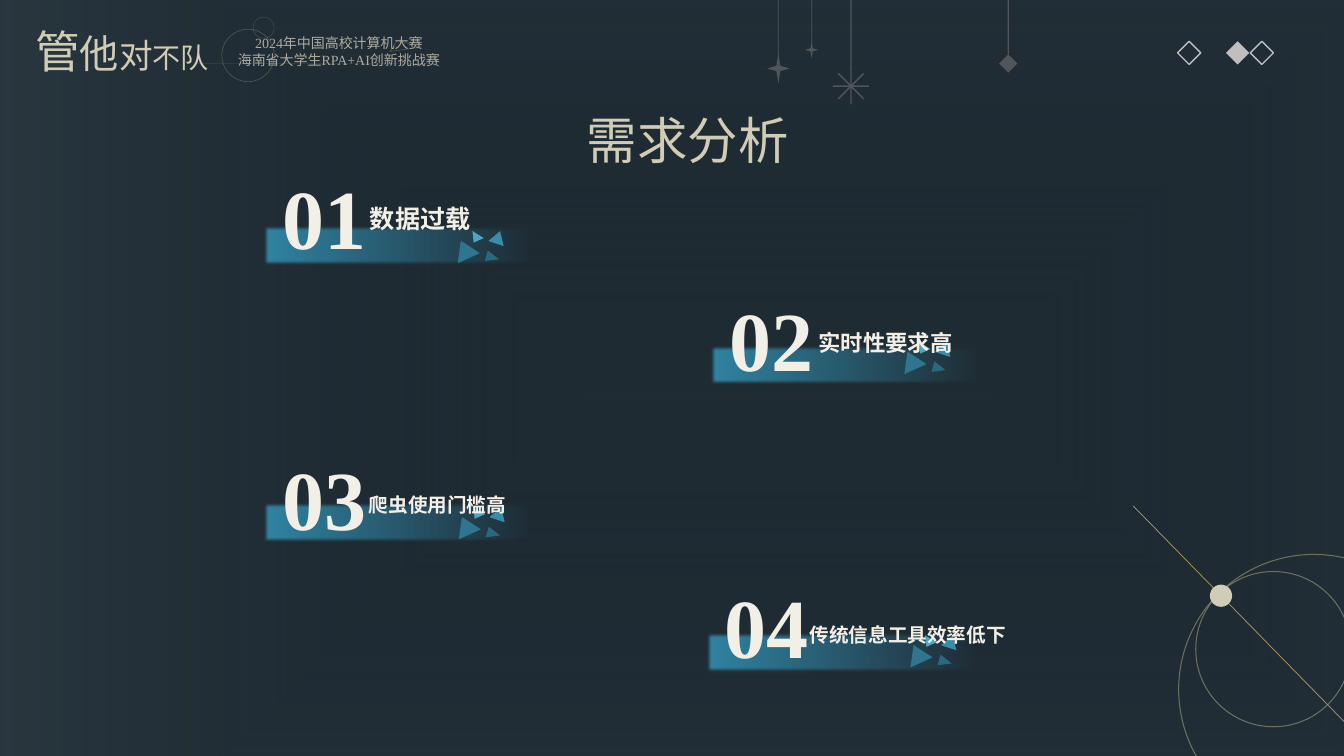
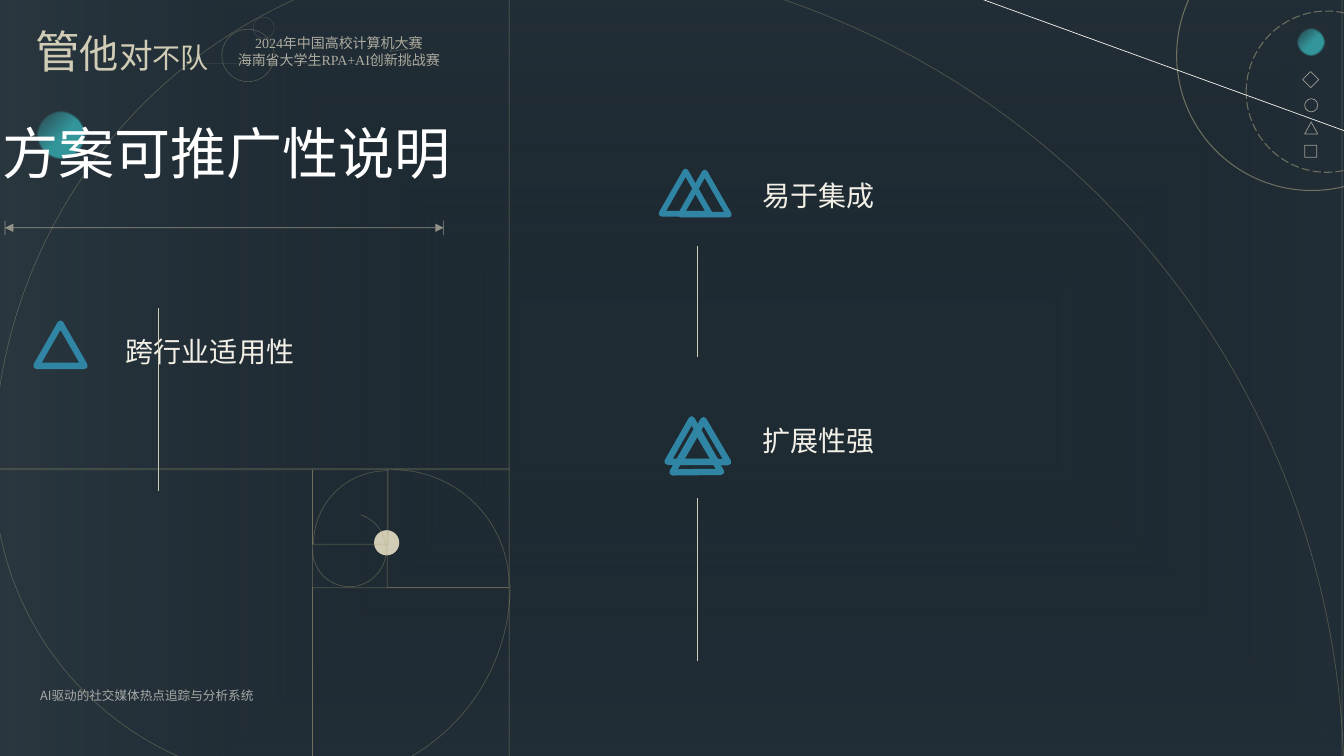
"""Build two dark, geometric slides: needs analysis and solution scalability."""
import copy

import lxml.etree
import pptx
import pptx.dml.color
import pptx.enum.dml
import pptx.enum.shapes
import pptx.enum.text
import pptx.oxml.ns
import pptx.util

Inches = pptx.util.Inches
Pt = pptx.util.Pt
qn = pptx.oxml.ns.qn
SHAPE = pptx.enum.shapes.MSO_SHAPE
ALIGN = pptx.enum.text.PP_ALIGN

COLORS = {
    "background": "233036", "ivory": "F2EFE6", "sand": "D1CCB5", "cream": "E2DBC7",
    "olive": "A29F7E", "khaki": "ACA379", "gold": "B09A5C", "white": "F2F1EA",
    "gray": "808080", "silver": "BFBFBF", "blue": "3085A4",
    "shard_1": "2F758F", "shard_2": "4CA5C4", "shard_3": "2A687E", "shard_4": "388CAA",
}
GRADIENTS = {
    "glow": ([(0, "131D29", 20), (70, "2A373F", 100), (86, "131D29", 100)],
             "path", {"path": "shape"}, (50, 50, 50, 50)),
    "fade": ([(0, "3085A4", 100), (78, "3085A4", 0), (100, "2E3F47", 0)],
             "lin", {"ang": "0", "scaled": "0"}, None),
    "orb": ([(48, "33979C", 100), (100, "37969B", 0)],
            "path", {"path": "circle"}, (100, 100, 0, 0)),
    "title": ([(31, "FFFFFF", 100), (100, "D1CCB5", 100)],
              "lin", {"ang": "5100000", "scaled": "0"}, None),
}
LATIN = "Times New Roman"
CHINESE = "Noto Sans CJK SC"

gradient_fills = {}
for name, (stops, mode, attributes, focus) in GRADIENTS.items():
    gradient = lxml.etree.Element(qn("a:gradFill"), rotWithShape="1")
    stop_list = lxml.etree.SubElement(gradient, qn("a:gsLst"))
    for position, color, alpha in stops:
        stop = lxml.etree.SubElement(stop_list, qn("a:gs"), pos=str(position * 1000))
        stop_color = lxml.etree.SubElement(stop, qn("a:srgbClr"), val=color)
        lxml.etree.SubElement(stop_color, qn("a:alpha"), val=str(alpha * 1000))
    direction = lxml.etree.SubElement(gradient, qn("a:" + mode), attributes)
    if focus:
        sides = {side: str(value * 1000) for side, value in zip("ltrb", focus)}
        lxml.etree.SubElement(direction, qn("a:fillToRect"), sides)
    gradient_fills[name] = gradient


def draw(slide, kind, box, fill=None, line=None, alpha=100, rotation=0,
         adjust=None, dash=None, arrows=False, soft=0):
    """Add a preset shape (left, top, width, height) or a LINE (x1, y1, x2, y2)."""
    lengths = [Inches(value) for value in box]
    if kind == "LINE":
        shape = slide.shapes.add_connector(pptx.enum.shapes.MSO_CONNECTOR.STRAIGHT, *lengths)
    else:
        shape = slide.shapes.add_shape(getattr(SHAPE, kind), *lengths)
        shape.shadow.inherit = False
        shape.rotation = rotation
        if adjust is not None:
            shape.adjustments[0] = adjust
        if fill in COLORS:
            shape.fill.solid()
            shape.fill.fore_color.rgb = pptx.dml.color.RGBColor.from_string(COLORS[fill])
        else:
            shape.fill.background()
    properties = shape._element.spPr
    if fill in gradient_fills:
        empty = properties.find(qn("a:noFill"))
        properties.replace(empty, copy.deepcopy(gradient_fills[fill]))
    if line:
        color, width = line
        shape.line.color.rgb = pptx.dml.color.RGBColor.from_string(COLORS[color])
        shape.line.width = Pt(width)
        if dash:
            shape.line.dash_style = dash
    else:
        shape.line.fill.background()
    if alpha < 100:
        for solid in properties.iter(qn("a:solidFill")):
            lxml.etree.SubElement(solid[0], qn("a:alpha"), val=str(alpha * 1000))
    if arrows:
        outline = properties.find(qn("a:ln"))
        for end in ("a:headEnd", "a:tailEnd"):
            lxml.etree.SubElement(outline, qn(end), type="triangle")
    if kind == "LINE":
        lxml.etree.SubElement(properties, qn("a:effectLst"))
    elif soft:
        effects = properties.find(qn("a:effectLst"))
        lxml.etree.SubElement(effects, qn("a:softEdge"), rad=str(Pt(soft)))
    return shape


def write(slide, box, lines, color="ivory", alpha=100, align=ALIGN.LEFT,
          wrap=True, bold=False, font_name=LATIN):
    """Add a text box; each line is a list of (text, size) runs."""
    shape = slide.shapes.add_textbox(*[Inches(value) for value in box])
    frame = shape.text_frame
    frame.word_wrap = wrap
    frame.auto_size = pptx.enum.text.MSO_AUTO_SIZE.SHAPE_TO_FIT_TEXT
    for index, pieces in enumerate(lines):
        paragraph = frame.add_paragraph() if index else frame.paragraphs[0]
        paragraph.alignment = align
        for text, size in pieces:
            run = paragraph.add_run()
            run.text = text
            values = {"name": font_name, "size": Pt(size), "bold": bold}
            for attribute, value in values.items():
                setattr(run.font, attribute, value)
            properties = run.font._element
            lxml.etree.SubElement(properties, qn("a:ea"), typeface=CHINESE)
            run.font.fill.solid()
            solid = properties.find(qn("a:solidFill"))
            if color in gradient_fills:
                properties.replace(solid, copy.deepcopy(gradient_fills[color]))
                continue
            run.font.color.rgb = pptx.dml.color.RGBColor.from_string(COLORS[color])
            if alpha < 100:
                lxml.etree.SubElement(solid[0], qn("a:alpha"), val=str(alpha * 1000))


presentation = pptx.Presentation()
presentation.slide_width = Inches(13.33)
presentation.slide_height = Inches(7.5)

slides = []
for number in range(2):
    slide = presentation.slides.add_slide(presentation.slide_layouts[6])
    slide.background.fill.solid()
    slide.background.fill.fore_color.rgb = pptx.dml.color.RGBColor.from_string(
        COLORS["background"])
    draw(slide, "OVAL", (-2.43, -4.59, 20.46, 16.73), fill="glow")
    write(slide, (2.2, 0.29, 2.32, 0.44),
          [[("2024年中国高校计算机大赛", 10)], [("海南省大学生RPA+AI创新挑战赛", 10)]],
          color="cream", alpha=73, align=ALIGN.CENTER)
    draw(slide, "LINE", (1.94, 0.63, 4.29, 0.63), line=("olive", 0.5), alpha=12)
    draw(slide, "OVAL", (2.2, 0.29, 0.52, 0.52), line=("olive", 0.5), alpha=35)
    draw(slide, "OVAL", (2.51, 0.17, 0.21, 0.21), line=("olive", 0.25), alpha=35)
    draw(slide, "ISOSCELES_TRIANGLE", (3.86, 0.39, 0.31, 0.1), line=("olive", 0.5),
         alpha=35, rotation=352.3, adjust=0.284)
    write(slide, (0.25, 0.19, 1.94, 0.64),
          [[("管", 32), ("他", 28), ("对", 24), ("不队", 20)]], color="sand", wrap=False)
    slides.append(slide)
needs_slide, scaling_slide = slides

SHARDS = [
    (0, 0, 0.24, 0.19, 335.6, None, "shard_1"),
    (0.18, -0.1, 0.11, 0.11, 335.6, 0.336, "shard_2"),
    (0.34, 0.11, 0.11, 0.13, 105.8, None, "shard_3"),
    (0.37, -0.09, 0.16, 0.13, 18.2, None, "shard_4"),
]
NEEDS = [
    ("01", "数据过载", 18, (2.6, 2.23), (2.7, 1.59), (4.49, 2.38), (3.57, 1.97, 1.39, 0.4)),
    ("02", "实时性要求高", 16, (7.04, 3.42), (7.14, 2.8), (8.92, 3.48), (8.02, 3.22, 1.55, 0.37)),
    ("03", "爬虫使用门槛高", 14, (2.6, 4.98), (2.7, 4.38), (4.5, 5.12), (3.56, 4.84, 1.96, 0.34)),
    ("04", "传统信息工具效率低下", 14, (7, 6.27), (7.09, 5.65), (8.98, 6.39), (7.93, 6.13, 2.65, 0.34)),
]
for number, label, size, bar, number_corner, shard_corner, label_box in NEEDS:
    draw(needs_slide, "RECTANGLE", (*bar, 3.48, 0.41), fill="fade", soft=2.5)
    for dx, dy, width, height, rotation, adjust, color in SHARDS:
        box = (shard_corner[0] + dx, shard_corner[1] + dy, width, height)
        draw(needs_slide, "ISOSCELES_TRIANGLE", box, fill=color,
             rotation=rotation, adjust=adjust)
    write(needs_slide, (*number_corner, 1.31, 1.11), [[(number, 60)]],
          align=ALIGN.JUSTIFY, bold=True)
    write(needs_slide, label_box, [[(label, size)]], bold=True)

for left, top, diameter in [(11.69, 5.5, 2.68), (11.86, 5.67, 1.54)]:
    draw(needs_slide, "OVAL", (left, top, diameter, diameter), line=("olive", 0.75), alpha=60)
draw(needs_slide, "LINE", (15.21, 9.08, 11.24, 5.02), line=("gold", 0.5))
draw(needs_slide, "OVAL", (12, 5.8, 0.22, 0.22), fill="sand")

PENDANTS = [
    ("STAR_8_POINT", 8.44, 0.68, 0.35, 0.35, 1, 0.68),
    ("DIAMOND", 10, 0.54, 0.18, 0.18, 1, 0.54),
    ("STAR_4_POINT", 7.72, 0.53, 0.22, 0.3, 0.5, 0.55),
    ("STAR_4_POINT", 8.05, 0.41, 0.13, 0.17, 0.5, 0.42),
]
for kind, center, top, width, height, thread_width, thread_end in PENDANTS:
    box = (center - width / 2, top, width, height)
    if kind == "STAR_8_POINT":
        pendant = draw(needs_slide, kind, box, line=("gray", 1), alpha=50, adjust=0)
    else:
        pendant = draw(needs_slide, kind, box, fill="gray", alpha=50)
    thread = draw(needs_slide, "LINE", (center, -0.02, center, thread_end),
                  line=("gray", thread_width), alpha=50)
    if kind == "DIAMOND":
        thread.end_connect(pendant, 0)

for left, fill, line in [(12.4, None, ("silver", 1)), (12.16, "silver", None),
                         (11.68, None, ("silver", 1))]:
    draw(needs_slide, "DIAMOND", (left, 0.41, 0.23, 0.23), fill=fill, line=line)
write(needs_slide, (5.71, 1.03, 2.22, 0.71), [[("需求分析", 36)]], color="sand",
      align=ALIGN.CENTER, wrap=False)

TRIANGLES = [
    (0.36, 3.21, 0, 4.5),
    (6.62, 4.16, 0, 4.5), (6.8, 4.27, 119.9, 4.5), (6.61, 4.37, 239.7, 4.5),
    (6.75, 1.71, 0, 4), (6.56, 1.7, 0, 4),
]
for left, top, rotation, width in TRIANGLES:
    draw(scaling_slide, "ISOSCELES_TRIANGLE", (left, top, 0.48, 0.42),
         line=("blue", width), rotation=rotation)
for text, left, top in [("跨行业适用性", 1.15, 3.27), ("易于集成", 7.46, 1.72),
                        ("扩展性强", 7.46, 4.15)]:
    write(scaling_slide, (left, top, 2.34, 0.44), [[(text, 20)]], align=ALIGN.JUSTIFY)
for x, top, bottom in [(1.57, 3.06, 4.87), (6.92, 2.44, 3.54), (6.92, 4.94, 6.56)]:
    draw(scaling_slide, "LINE", (x, top, x, bottom), line=("sand", 0.5))
draw(scaling_slide, "OVAL", (3.71, 5.26, 0.25, 0.25), fill="sand")
write(scaling_slide, (0.3, 6.77, 2.39, 0.25), [[("AI驱动的社交媒体热点追踪与分析系统", 9)]],
      alpha=63, wrap=False, font_name=CHINESE)

for box in [(12.86, 0.27, 0.29, 0.29), (0.36, 1.1, 0.49, 0.48)]:
    draw(scaling_slide, "OVAL", box, fill="orb", rotation=9.7, soft=1)
ICONS = [
    ("DIAMOND", (12.92, 0.71, 0.16, 0.16)),
    ("ISOSCELES_TRIANGLE", (12.94, 1.21, 0.13, 0.12)),
    ("RECTANGLE", (12.94, 1.44, 0.12, 0.12)),
    ("OVAL", (12.94, 0.98, 0.13, 0.13)),
]
for kind, box in ICONS:
    draw(scaling_slide, kind, box, line=("cream", 0.5), alpha=63)
draw(scaling_slide, "OVAL", (12.36, 0.11, 1.6, 1.6), line=("olive", 0.75), alpha=60,
     dash=pptx.enum.dml.MSO_LINE.LONG_DASH)
draw(scaling_slide, "OVAL", (11.67, -0.79, 2.68, 2.68), line=("olive", 0.75), alpha=60)

GOLDEN_RECTANGLES = [
    (3.1, 4.66, 0.75, 0.74), (3.84, 4.66, 1.21, 1.17), (3.1, 5.83, 1.95, 1.95),
    (-0.06, 4.66, 3.16, 3.11), (-0.06, -0.45, 5.11, 5.1), (5.05, -0.45, 8.26, 8.22),
]
for box in GOLDEN_RECTANGLES:
    draw(scaling_slide, "RECTANGLE", box, line=("khaki", 0.5), alpha=34)
SPIRAL_ARCS = [
    (-3.13, -0.45, 16.46, 0, None), (-0.06, -0.45, 10.11, 270, None),
    (-0.06, 1.61, 6.16, 180, None), (1.13, 3.84, 3.93, 90, None),
    (2.75, 4.66, 2.3, 0, None), (3.11, 4.67, 1.45, 270, None),
    (3.1, 5.09, 0.73, 180, 64.8),
]
for left, top, diameter, rotation, adjust in SPIRAL_ARCS:
    draw(scaling_slide, "ARC", (left, top, diameter, diameter), line=("khaki", 0.5),
         alpha=34, rotation=rotation, adjust=adjust)
draw(scaling_slide, "LINE", (14.14, 1.59, 9.57, -0.07), line=("white", 0.5))

draw(scaling_slide, "LINE", (0.05, 2.26, 4.4, 2.26), line=("sand", 0.5), alpha=63, arrows=True)
for x in (0.05, 4.4):
    draw(scaling_slide, "LINE", (x, 2.19, x, 2.33), line=("sand", 0.5), alpha=63)
write(scaling_slide, (-0.07, 1.13, 4.69, 0.77), [[("方案可推广性说明", 40)]],
      color="title", wrap=False)

presentation.save("out.pptx")
